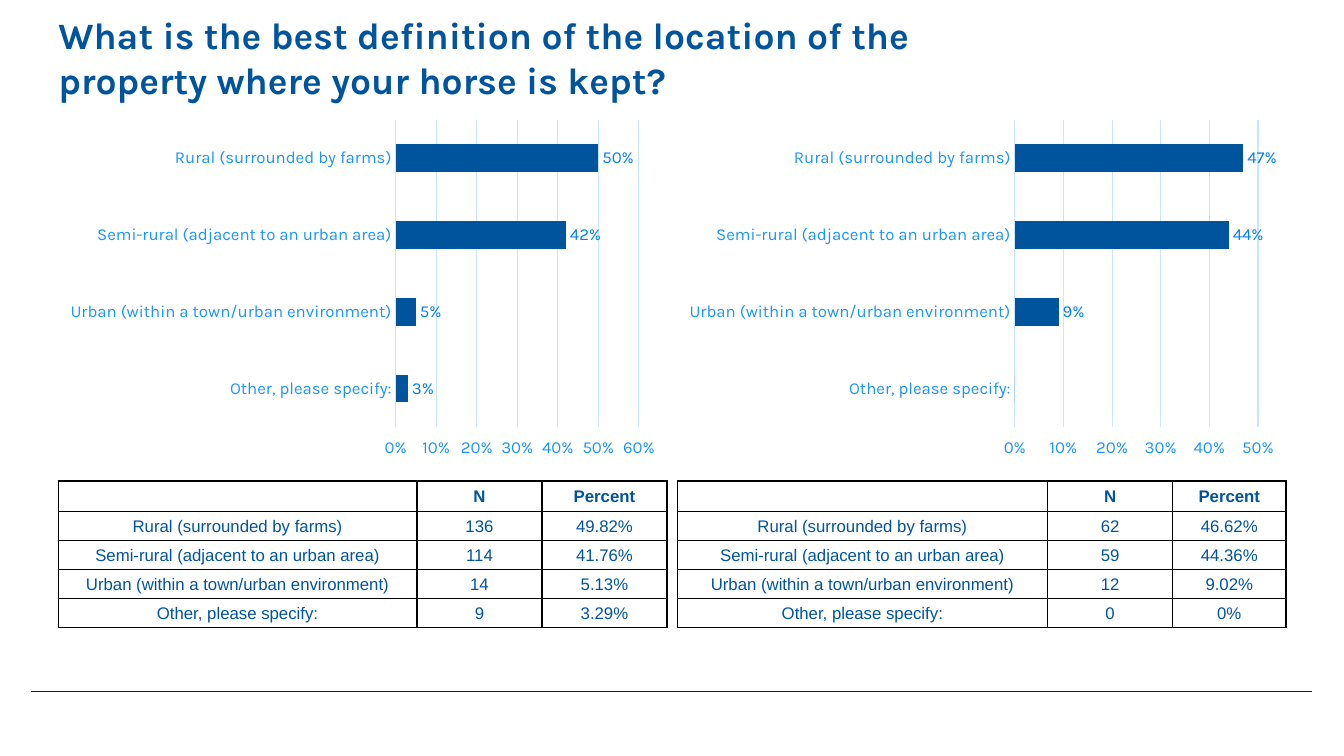
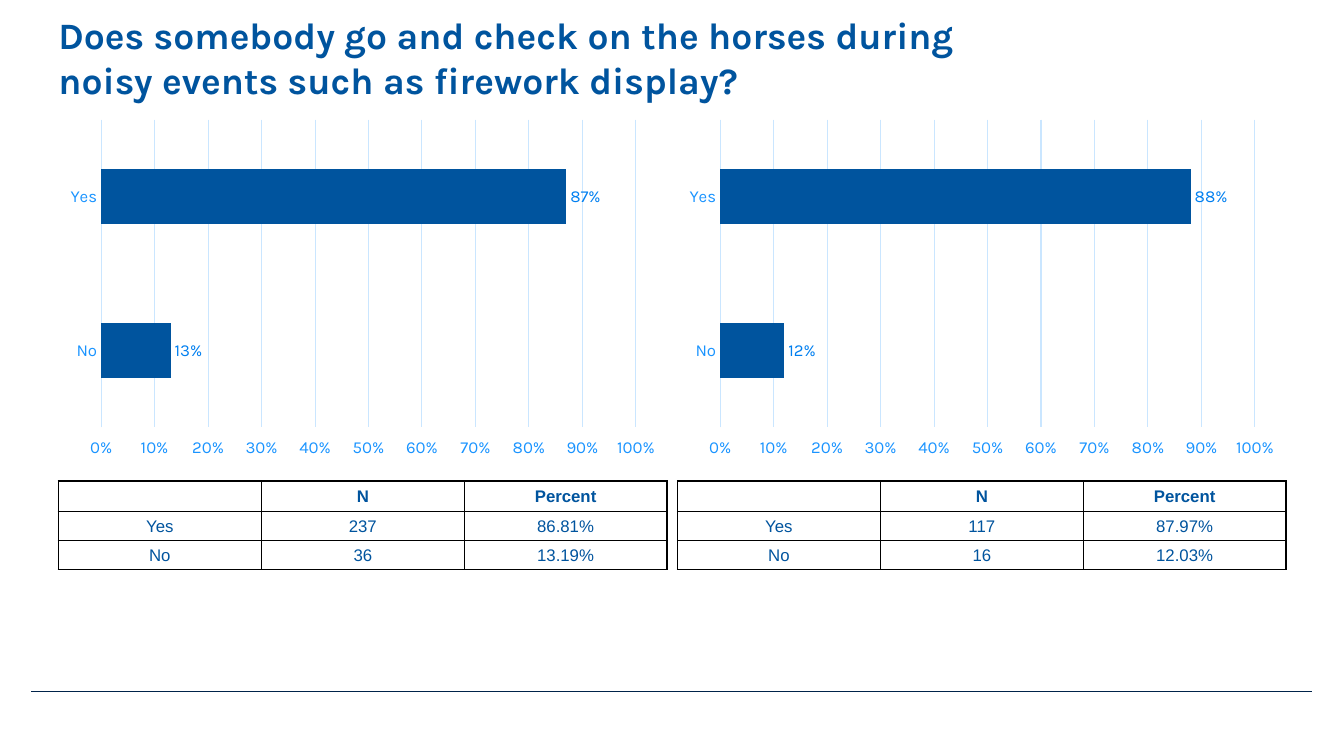
from lxml import etree
from pptx import Presentation
from pptx.chart.data import CategoryChartData
from pptx.dml.color import RGBColor
from pptx.enum.chart import (
    XL_CHART_TYPE as ChartType,
    XL_LABEL_POSITION as LabelPosition,
    XL_TICK_LABEL_POSITION as TickLabelPosition,
    XL_TICK_MARK as TickMark,
)
from pptx.enum.shapes import MSO_CONNECTOR as Connector
from pptx.enum.text import MSO_ANCHOR as Anchor, MSO_AUTO_SIZE as AutoSize, PP_ALIGN as Align
from pptx.oxml import parse_xml
from pptx.oxml.ns import nsdecls, qn
from pptx.util import Cm, Pt


def color(hex_text):
    """Return the colour for a hex string."""
    return RGBColor.from_string(hex_text)


class SurveyDeck:
    """Hold the survey style and the slide being built."""

    NAVY, SKY, LABEL, GRID, RULE, BORDER = "00549E", "1A94FF", "007FF0", "CAE6FF", "00234A", "000000"
    HEADING_FONT, TABLE_FONT = "Karla", "Arial"
    PANEL_LEFTS = (1.47, 17.07)
    PANEL_WIDTH = 15.34
    HEADER_HEIGHT, ROW_HEIGHT = 0.75, 0.73

    def __init__(self):
        """Start a widescreen presentation."""
        self.deck = Presentation()
        self.deck.slide_width, self.deck.slide_height = Cm(33.87), Cm(19.05)
        self.slide = None

    def style(self, font, size, hex_text, bold=False, face=HEADING_FONT):
        """Format a font."""
        font.name, font.size, font.bold = face, Pt(size), bold
        font.color.rgb = color(hex_text)

    def stroke(self, line, hex_text, width):
        """Format a line."""
        line.color.rgb = color(hex_text)
        line.width = Pt(width)

    def question(self, wording):
        """Add a slide with its question as title and the footer rule."""
        self.slide = self.deck.slides.add_slide(self.deck.slide_layouts[5])
        title = self.slide.shapes.title
        title.left, title.top, title.width, title.height = Cm(1.47), Cm(0.3), Cm(24.41), Cm(2.27)
        frame = title.text_frame
        frame.margin_left = frame.margin_top = frame.margin_right = frame.margin_bottom = 0
        frame.word_wrap, frame.auto_size = True, AutoSize.NONE
        frame.vertical_anchor = Anchor.BOTTOM
        paragraph = frame.paragraphs[0]
        paragraph.alignment = Align.LEFT
        run = paragraph.add_run()
        run.text = wording
        self.style(run.font, 26.6, self.NAVY, bold=True)
        self.footer_rule()

    def footer_rule(self):
        """Draw the thin rule above the footer."""
        rule = self.slide.shapes.add_connector(
            Connector.STRAIGHT, Cm(0.79), Cm(17.42), Cm(33.07), Cm(17.42))
        self.stroke(rule.line, self.RULE, 0.5)
        etree.SubElement(rule._element.spPr, qn("a:effectLst"))

    def bars(self, left, answers, ceiling):
        """Add a bar chart of the rounded shares."""
        data = CategoryChartData(number_format="0%")
        data.categories = [answer for answer, _, _ in answers]
        data.add_series("Series 1", [
            round(float(percent.rstrip("%")) / 100, 2) for _, _, percent in answers])
        chart = self.slide.shapes.add_chart(
            ChartType.BAR_CLUSTERED, Cm(left), Cm(2.84), Cm(self.PANEL_WIDTH), Cm(8.86), data).chart
        chart.has_title = chart.has_legend = False
        self.style(chart.font, 10, self.NAVY)

        answer_axis, share_axis = chart.category_axis, chart.value_axis
        for axis in (answer_axis, share_axis):
            axis.major_tick_mark = axis.minor_tick_mark = TickMark.NONE
            self.style(axis.tick_labels.font, 12, self.SKY)
        answer_axis.reverse_order = True
        self.stroke(answer_axis.format.line, self.GRID, 0.75)
        share_axis.tick_label_position = TickLabelPosition.HIGH
        share_axis.minimum_scale, share_axis.maximum_scale = 0, ceiling
        share_axis.major_unit = 0.1
        share_axis.tick_labels.number_format = "0%"
        share_axis.tick_labels.number_format_is_linked = False
        share_axis.format.line.fill.background()
        self.stroke(share_axis.major_gridlines.format.line, self.GRID, 0.75)

        plot = chart.plots[0]
        plot.gap_width, plot.vary_by_categories = 182, False
        fill = plot.series[0].format.fill
        fill.solid()
        fill.fore_color.rgb = color(self.NAVY)
        plot.has_data_labels = True
        labels = plot.data_labels
        labels.show_value, labels.position = True, LabelPosition.OUTSIDE_END
        labels.number_format, labels.number_format_is_linked = "0%;;", False
        self.style(labels.font, 12, self.LABEL)

    def counts(self, left, answers, figure_widths):
        """Add the table of counts and percentages."""
        rows = [("", "N", "Percent"), *answers]
        widths = (self.PANEL_WIDTH - sum(figure_widths), *figure_widths)
        heights = [self.HEADER_HEIGHT] + [self.ROW_HEIGHT] * len(answers)
        table = self.slide.shapes.add_table(
            len(rows), len(widths), Cm(left), Cm(12.12), Cm(self.PANEL_WIDTH), Cm(sum(heights))).table
        for column, width in zip(table.columns, widths):
            column.width = Cm(width)
        for row_index, (row, height, texts) in enumerate(zip(table.rows, heights, rows)):
            row.height = Cm(height)
            for cell, text in zip(row.cells, texts):
                self.cell(cell, text, bold=row_index == 0)

    def cell(self, cell, text, bold):
        """Fill and border one table cell."""
        properties = cell._tc.get_or_add_tcPr()
        for side in ("lnL", "lnR", "lnT", "lnB"):
            properties.append(parse_xml(
                f'<a:{side} {nsdecls("a")} w="{Pt(1)}"><a:solidFill>'
                f'<a:srgbClr val="{self.BORDER}"/></a:solidFill></a:{side}>'))
        cell.fill.background()
        cell.margin_top = cell.margin_bottom = 0
        cell.vertical_anchor = Anchor.MIDDLE
        paragraph = cell.text_frame.paragraphs[0]
        paragraph.alignment = Align.CENTER
        if text:
            run = paragraph.add_run()
            run.text = text
            self.style(run.font, 12, self.NAVY, bold, self.TABLE_FONT)

    def panels(self, *panels):
        """Place each chart above its table, side by side."""
        for left, (answers, ceiling, figure_widths) in zip(self.PANEL_LEFTS, panels):
            self.bars(left, answers, ceiling)
            self.counts(left, answers, figure_widths)


def main():
    """Build and save the survey slides."""
    survey = SurveyDeck()
    places = (
        "Rural (surrounded by farms)",
        "Semi-rural (adjacent to an urban area)",
        "Urban (within a town/urban environment)",
        "Other, please specify:",
    )
    survey.question("What is the best definition of the location of the property where your horse is kept?")
    survey.panels(
        (list(zip(places, ("136", "114", "14", "9"), ("49.82%", "41.76%", "5.13%", "3.29%"))),
         0.6, (3.15, 3.15)),
        (list(zip(places, ("62", "59", "12", "0"), ("46.62%", "44.36%", "9.02%", "0%"))),
         0.5, (3.15, 2.86)),
    )
    thirds = (5.11, 5.11)
    survey.question("Does somebody go and check on the horses during noisy events such as firework display?")
    survey.panels(
        ([("Yes", "237", "86.81%"), ("No", "36", "13.19%")], 1, thirds),
        ([("Yes", "117", "87.97%"), ("No", "16", "12.03%")], 1, thirds),
    )
    survey.deck.save("out.pptx")


if __name__ == "__main__":
    main()
